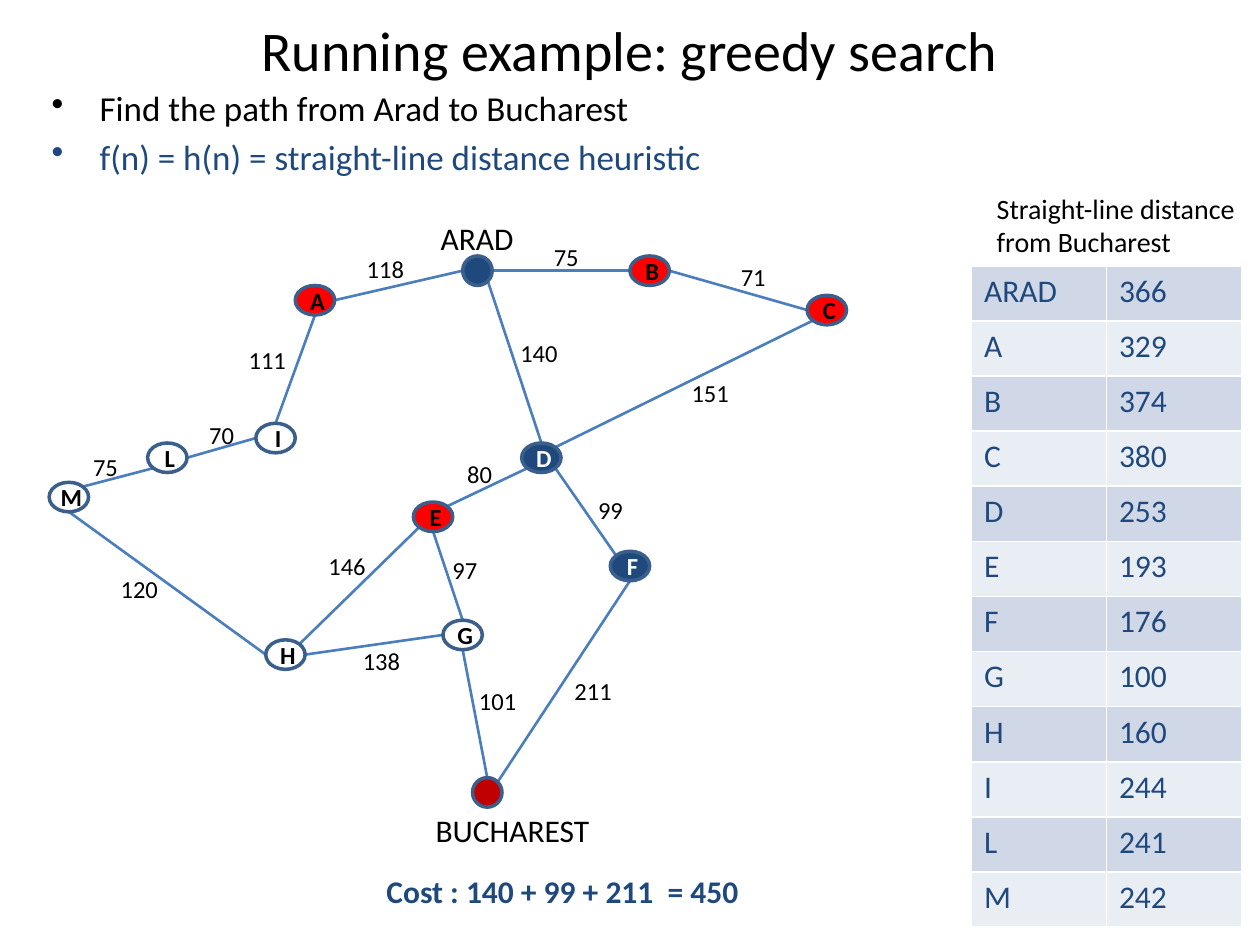
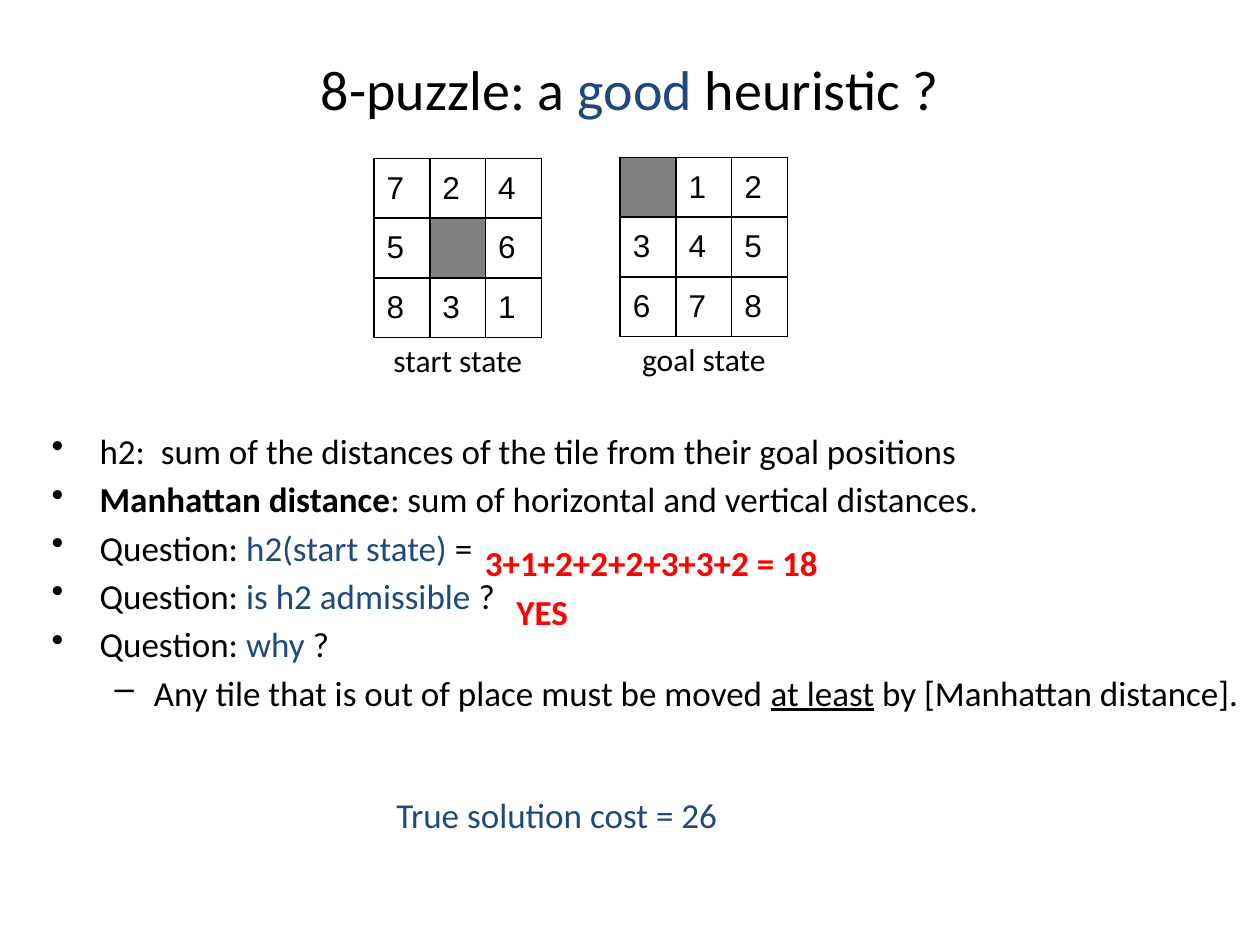
from collections import namedtuple
from math import sqrt

from lxml.etree import SubElement
from pptx import Presentation
from pptx.dml.color import RGBColor
from pptx.enum.shapes import MSO_CONNECTOR, MSO_SHAPE
from pptx.enum.text import MSO_ANCHOR, PP_ALIGN
from pptx.oxml.ns import qn
from pptx.util import Emu, Inches, Pt

# The slide is a grid of 128 columns by 96 rows of square units
COLUMNS = 128
SLIDE_WIDTH, SLIDE_HEIGHT = Inches(10), Inches(7.5)
Box = namedtuple("Box", "left top width height")

BLACK, WHITE, GREY = "000000", "FFFFFF", "808080"
NAVY, RED, DARK_RED = "1F497D", "FF0000", "C00000"
OUTLINE, EDGE = "3A5F8C", "4B7EBC"
BANDS = ("D0D8E8", "E9EDF4")
FONT = "Calibri"


def color(hex_string):
    return RGBColor.from_string(hex_string)


def units(*lengths):
    return [Emu(round(length * SLIDE_WIDTH / COLUMNS)) for length in lengths]


def add_run(paragraph, text, size, ink=BLACK, bold=False, underline=False, font=FONT):
    run = paragraph.add_run()
    run.text = text
    run.font.name, run.font.size = font, Pt(size)
    run.font.bold, run.font.underline = bold, underline
    run.font.color.rgb = color(ink)


def add_text(slide, box, lines, size, ink=BLACK, bold=False, align=PP_ALIGN.LEFT,
             anchor=MSO_ANCHOR.TOP, wrap=True):
    """Each line is a list of runs: (text, optional colour)."""
    frame = slide.shapes.add_textbox(*units(*box)).text_frame
    frame.word_wrap, frame.vertical_anchor = wrap, anchor
    for index, runs in enumerate(lines):
        paragraph = frame.paragraphs[0] if index == 0 else frame.add_paragraph()
        paragraph.alignment = align
        for text, *own_ink in runs:
            add_run(paragraph, text, size, *(own_ink or [ink]), bold=bold)


def add_title(slide, top, *runs):
    add_text(slide, Box(6.4, top, 115.2, 16), [runs], 32,
             align=PP_ALIGN.CENTER, anchor=MSO_ANCHOR.MIDDLE)


def add_bullets(slide, box, items):
    """Each item is (level, runs); each run is (text, options)."""
    levels = (("•", 0.38, -0.38), ("–", 0.81, -0.31))
    frame = slide.shapes.add_textbox(*units(*box)).text_frame
    frame.word_wrap = True
    for index, (level, runs) in enumerate(items):
        paragraph = frame.paragraphs[0] if index == 0 else frame.add_paragraph()
        mark, margin, indent = levels[level]
        paragraph.level = level
        paragraph.space_before = Pt(3.6)
        properties = paragraph._p.get_or_add_pPr()
        properties.set("marL", str(Inches(margin)))
        properties.set("indent", str(Inches(indent)))
        SubElement(properties, qn("a:buChar"), char=mark)
        for text, options in runs:
            add_run(paragraph, text, 20, **options)


def add_cell_borders(cell, ink):
    properties = cell._tc.get_or_add_tcPr()
    for side in ("lnL", "lnR", "lnT", "lnB"):
        line = SubElement(properties, qn("a:" + side), w=str(Pt(1)))
        SubElement(SubElement(line, qn("a:solidFill")), qn("a:srgbClr"), val=ink)


def add_grid(slide, box, rows, fill_for, ink, border, font, anchor):
    table = slide.shapes.add_table(len(rows), len(rows[0]), *units(*box)).table
    table.first_row = table.horz_banding = False
    for row_index, values in enumerate(rows):
        for column_index, value in enumerate(values):
            cell = table.cell(row_index, column_index)
            cell.vertical_anchor = anchor
            add_cell_borders(cell, border)
            cell.fill.solid()
            cell.fill.fore_color.rgb = color(fill_for(row_index, value))
            if value:
                add_run(cell.text_frame.paragraphs[0], value, 18, ink, font=font)


# Road map: column, row, fill and letter colour of each town
NODES = {
    "ARAD": (47, 6, NAVY, None), "BUCHAREST": (48, 59, DARK_RED, None),
    "A": (30, 9, RED, BLACK), "B": (64, 6, RED, BLACK), "C": (82, 10, RED, BLACK),
    "D": (53, 25, NAVY, WHITE), "E": (42, 31, RED, BLACK), "F": (62, 36, NAVY, WHITE),
    "G": (45, 43, None, BLACK), "H": (27, 45, None, BLACK), "I": (26, 23, None, BLACK),
    "L": (15, 25, None, BLACK), "M": (5, 29, None, BLACK),
}
# Start and its side, end and its side, distance, column and row of the label
ROADS = [
    ("ARAD", "w", "A", "e", "118", 36, 5.2),
    ("B", "w", "ARAD", "e", "75", 55, 4),
    ("C", "w", "B", "e", "71", 74, 6),
    ("D", "n", "ARAD", "se", "140", 51.6, 13.7),
    ("C", "sw", "D", "ne", "151", 69, 17.8),
    ("D", "sw", "E", "ne", "80", 46.2, 26),
    ("D", "se", "F", "nw", "99", 59.5, 29.7),
    ("E", "s", "G", "n", "97", 44.7, 35.7),
    ("G", "s", "BUCHAREST", "n", "101", 47.4, 49.1),
    ("F", "s", "BUCHAREST", "ne", "211", 57.1, 48),
    ("G", "w", "H", "e", "138", 35.6, 45),
    ("E", "sw", "H", "ne", "146", 32.1, 35.3),
    ("I", "n", "A", "s", "111", 24, 14.4),
    ("I", "w", "L", "e", "70", 20, 22),
    ("L", "sw", "M", "ne", "75", 8.2, 25.3),
    ("H", "w", "M", "s", "120", 11, 37.7),
]


def node_box(box, name):
    column, row, _, letter_ink = NODES[name]
    return Box(box.left + column, box.top + row, 4 if letter_ink else 3, 3)


def rim_point(node, side):
    """The point where a road meets the rim of an ellipse."""
    across = ("e" in side) - ("w" in side)
    down = ("s" in side) - ("n" in side)
    reach = 0.5 / sqrt(len(side))
    return (node.left + node.width * (0.5 + across * reach),
            node.top + node.height * (0.5 + down * reach))


def add_road(slide, box, start, start_side, end, end_side, distance, column, row):
    points = (rim_point(node_box(box, start), start_side)
              + rim_point(node_box(box, end), end_side))
    road = slide.shapes.add_connector(MSO_CONNECTOR.STRAIGHT, *units(*points))
    road.line.color.rgb, road.line.width = color(EDGE), Pt(1.5)
    SubElement(road._element.spPr, qn("a:effectLst"))
    add_text(slide, Box(box.left + column, box.top + row, 8, 4.3), [[(distance,)]], 14)


def add_node(slide, box, name):
    fill, letter_ink = NODES[name][2:]
    shape = slide.shapes.add_shape(MSO_SHAPE.OVAL, *units(*node_box(box, name)))
    shape.shadow.inherit = False
    shape.line.color.rgb, shape.line.width = color(OUTLINE), Pt(2)
    if fill:
        shape.fill.solid()
        shape.fill.fore_color.rgb = color(fill)
    else:
        shape.fill.background()
    if letter_ink:
        frame = shape.text_frame
        frame.margin_left = Inches(0.04)
        frame.margin_right = frame.margin_top = frame.margin_bottom = 0
        frame.vertical_anchor = MSO_ANCHOR.MIDDLE
        frame.paragraphs[0].alignment = PP_ALIGN.CENTER
        add_run(frame.paragraphs[0], name, 14, letter_ink, bold=True)


def add_road_map(slide, box):
    for road in ROADS:
        add_road(slide, box, *road)
    for name in NODES:
        add_node(slide, box, name)
    # Names of the two end towns
    add_text(slide, Box(box.left + 43.5, box.top + 1.6, 10, 5.1), [[("ARAD",)]], 18)
    add_text(slide, Box(box.left + 43, box.top + 61.8, 19, 5.1), [[("BUCHAREST",)]], 18)


def add_distance_table(slide, box):
    distances = {"ARAD": 366, "A": 329, "B": 374, "C": 380, "D": 253, "E": 193,
                 "F": 176, "G": 100, "H": 160, "I": 244, "L": 241, "M": 242}
    heading_height = 8.2
    add_text(slide, Box(box.left + 1.3, box.top, 41, heading_height),
             [[("Straight-line distance ",)], [("from Bucharest",)]], 16)
    add_grid(slide, Box(box.left, box.top + heading_height, box.width,
                        box.height - heading_height),
             [(town, str(distance)) for town, distance in distances.items()],
             lambda row, value: BANDS[row % 2], NAVY, WHITE, FONT, MSO_ANCHOR.TOP)


def add_puzzle(slide, box, tiles, caption):
    """A 3 by 3 board; a space in the tiles is the empty square."""
    rows = [tiles[start:start + 3].replace(" ", "-") for start in (0, 3, 6)]
    rows = [[tile.strip("-") for tile in row] for row in rows]
    add_grid(slide, box, rows, lambda row, value: WHITE if value else GREY,
             BLACK, BLACK, "Arial", MSO_ANCHOR.MIDDLE)
    caption_width = 15.7
    add_text(slide, Box(box.left + (box.width - caption_width) / 2,
                        box.top + box.height - 0.3, caption_width, 5.1),
             [[(caption,)]], 18, align=PP_ALIGN.CENTER, wrap=False)


def build_greedy_search(slide):
    add_title(slide, -3, ("Running example: greedy search",))
    add_bullets(slide, Box(4, 8.2, 124, 71.8), [
        (0, [("Find the path from Arad to Bucharest", {})]),
        (0, [("f(n) = h(n) = straight-line distance heuristic", {"ink": NAVY})]),
    ])
    add_road_map(slide, Box(0, 20, 96, 67))
    add_text(slide, Box(38, 88, 64, 5.1), [[("Cost : 140 + 99 + 211  = 450 ",)]],
             18, NAVY, bold=True)
    add_distance_table(slide, Box(98.7, 18.8, 27.4, 75.4))


def build_eight_puzzle(slide):
    blue = {"ink": NAVY}
    add_title(slide, 1, ("8-puzzle: a ",), ("good ", NAVY), ("heuristic ?",))
    # Boards
    add_puzzle(slide, Box(38, 16.1, 17, 18.2), "7245 6831", "start state")
    add_puzzle(slide, Box(63, 16, 17, 18.2), " 12345678", "goal state")
    # Questions
    add_bullets(slide, Box(4, 43, 124, 37), [
        (0, [("h2:  sum of the distances of the tile from their goal positions", {})]),
        (0, [("Manhattan distance", {"bold": True}),
             (": sum of horizontal and vertical distances. ", {})]),
        (0, [("Question: ", {}), ("h2(start state)", blue), (" = ", {})]),
        (0, [("Question:", {}), (" is h2 admissible ", blue), ("?", {})]),
        (0, [("Question: ", {}), ("why", blue), (" ?", {})]),
        (1, [("Any tile that is out of place must be moved ", {}),
             ("at least", {"underline": True}), (" by [Manhattan distance].", {})]),
    ])
    # Answers
    add_text(slide, Box(48, 54.4, 41, 3), [[("3+1+2+2+2+3+3+2 = 18",)]], 20, RED, bold=True)
    add_text(slide, Box(51.2, 59.4, 29, 3), [[("YES",)]], 20, RED, bold=True)
    add_text(slide, Box(39, 80, 42, 10), [[("True solution cost = 26",)]], 20, NAVY)


presentation = Presentation()
presentation.slide_width, presentation.slide_height = SLIDE_WIDTH, SLIDE_HEIGHT
for build in (build_greedy_search, build_eight_puzzle):
    build(presentation.slides.add_slide(presentation.slide_layouts[6]))
presentation.save("out.pptx")
